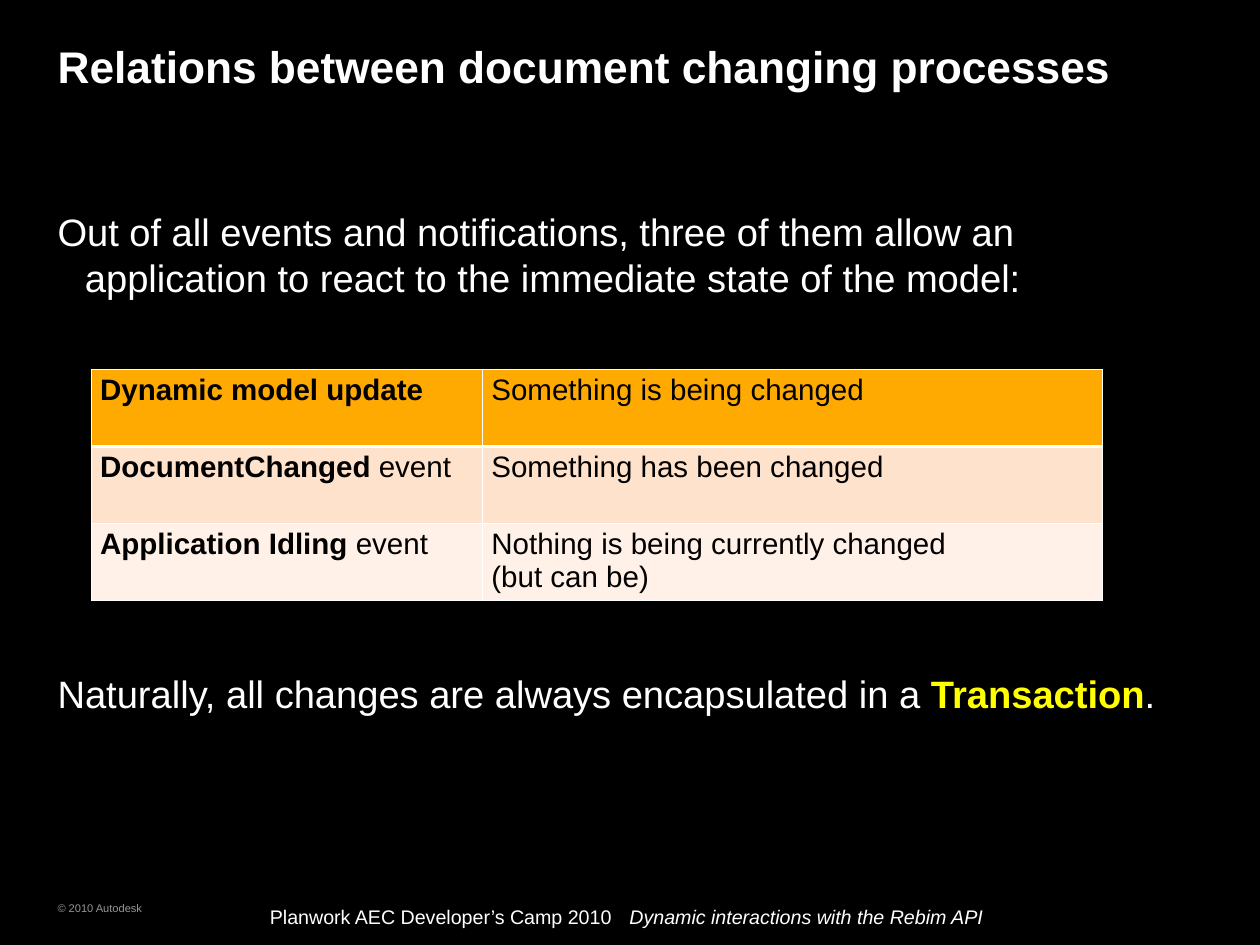
from lxml import etree
from pptx import Presentation
from pptx.dml.color import RGBColor
from pptx.enum.text import MSO_ANCHOR, MSO_AUTO_SIZE, PP_ALIGN
from pptx.oxml.ns import qn
from pptx.util import Inches, Pt

BLACK = RGBColor(0, 0, 0)
WHITE = RGBColor(255, 255, 255)
GREY = RGBColor(0x96, 0x96, 0x96)
YELLOW = RGBColor(255, 255, 0)
ROW_FILLS = [RGBColor(0xFF, 0xAA, 0x00), RGBColor(0xFF, 0xE2, 0xCC), RGBColor(0xFF, 0xF1, 0xE7)]
TOP, MIDDLE = MSO_ANCHOR.TOP, MSO_ANCHOR.MIDDLE
LEFT = PP_ALIGN.LEFT
NO_AUTOFIT = MSO_AUTO_SIZE.NONE


def add_run(p, text, size, color, bold=False, italic=False):
    r = p.add_run()
    r.text = text
    r.font.name = "Arial"
    r.font.size = Pt(size)
    r.font.color.rgb = color
    r.font.bold = bold
    r.font.italic = italic


def set_box(sp, left, top, width, height, anchor=TOP, margin=0):
    sp.left, sp.top = Inches(left), Inches(top)
    sp.width, sp.height = Inches(width), Inches(height)
    tf = sp.text_frame
    tf.word_wrap = True
    tf.auto_size = NO_AUTOFIT
    tf.vertical_anchor = anchor
    tf.margin_left = tf.margin_right = Inches(margin)
    tf.margin_top = tf.margin_bottom = Inches(margin / 2)
    return tf


prs = Presentation()
prs.slide_width = Inches(14.23)
prs.slide_height = Inches(10.67)
s = prs.slides.add_slide(prs.slide_layouts[5])
s.background.fill.solid()
s.background.fill.fore_color.rgb = BLACK

tf = set_box(s.shapes.title, 0.65, 0.4, 12.86, 1.35)
tf.margin_top = Inches(0.04)
p = tf.paragraphs[0]
p.alignment = LEFT
add_run(p, "Relations between document changing processes", 36, WHITE, bold=True)

tf = set_box(s.shapes.add_textbox(0, 0, 0, 0), 0.65, 2.35, 12.86, 7.33)
intro, closing = tf.paragraphs[0], tf.add_paragraph()
for p in (intro, closing):
    pPr = p._p.get_or_add_pPr()
    pPr.set("marL", str(Inches(0.31)))
    pPr.set("indent", str(-Inches(0.31)))
closing.space_before = Pt(301)
add_run(intro, "Out of all events and notifications, three of them allow an application "
        "to react to the immediate state of the model:", 31, WHITE)
add_run(closing, "Naturally, all changes are always encapsulated in a ", 31, WHITE)
add_run(closing, "Transaction", 31, YELLOW, bold=True)
add_run(closing, ".", 31, WHITE)

rows = [
    ("Dynamic model update", "", ["Something is being changed"]),
    ("DocumentChanged", " event", ["Something has been changed"]),
    ("Application Idling", " event", ["Nothing is being currently changed", "(but can be)"]),
]
table = s.shapes.add_table(3, 2, Inches(1.03), Inches(4.17), Inches(11.42), Inches(2.61)).table
table.columns[0].width = Inches(4.42)
table.columns[1].width = Inches(7)
for i, (name, suffix, meaning) in enumerate(rows):
    table.rows[i].height = Inches(0.87)
    name_cell, meaning_cell = table.cell(i, 0), table.cell(i, 1)
    p = name_cell.text_frame.paragraphs[0]
    add_run(p, name, 24, BLACK, bold=True)
    if suffix:
        add_run(p, suffix, 24, BLACK)
    tf = meaning_cell.text_frame
    for j, line in enumerate(meaning):
        p = tf.add_paragraph() if j else tf.paragraphs[0]
        add_run(p, line, 24, BLACK)
    for cell in (name_cell, meaning_cell):
        tcPr = cell._tc.get_or_add_tcPr()
        for side in ("L", "R", "T", "B"):
            heavy = (i, side) in ((0, "B"), (1, "T"))
            ln = etree.SubElement(tcPr, qn("a:ln" + side), w=str(Pt(3 if heavy else 1)))
            fill = etree.SubElement(ln, qn("a:solidFill"))
            etree.SubElement(fill, qn("a:srgbClr"), val=str(WHITE))
        cell.fill.solid()
        cell.fill.fore_color.rgb = ROW_FILLS[i]

tf = set_box(s.shapes.add_textbox(0, 0, 0, 0), 0.65, 10.14, 3.17, 0.22, MIDDLE)
add_run(tf.paragraphs[0], "© 2010 Autodesk", 9, GREY)

tf = set_box(s.shapes.add_textbox(0, 0, 0, 0), 2.95, 10.17, 8.8, 0.37, margin=0.1)
p = tf.paragraphs[0]
tabs = etree.SubElement(p._p.get_or_add_pPr(), qn("a:tabLst"))
etree.SubElement(tabs, qn("a:tab"), pos=str(Inches(4.06)), algn="l")
add_run(p, "Planwork AEC Developer’s Camp 2010\t", 16, WHITE)
add_run(p, "Dynamic interactions with the Rebim API", 16, WHITE, italic=True)

prs.save("out.pptx")
